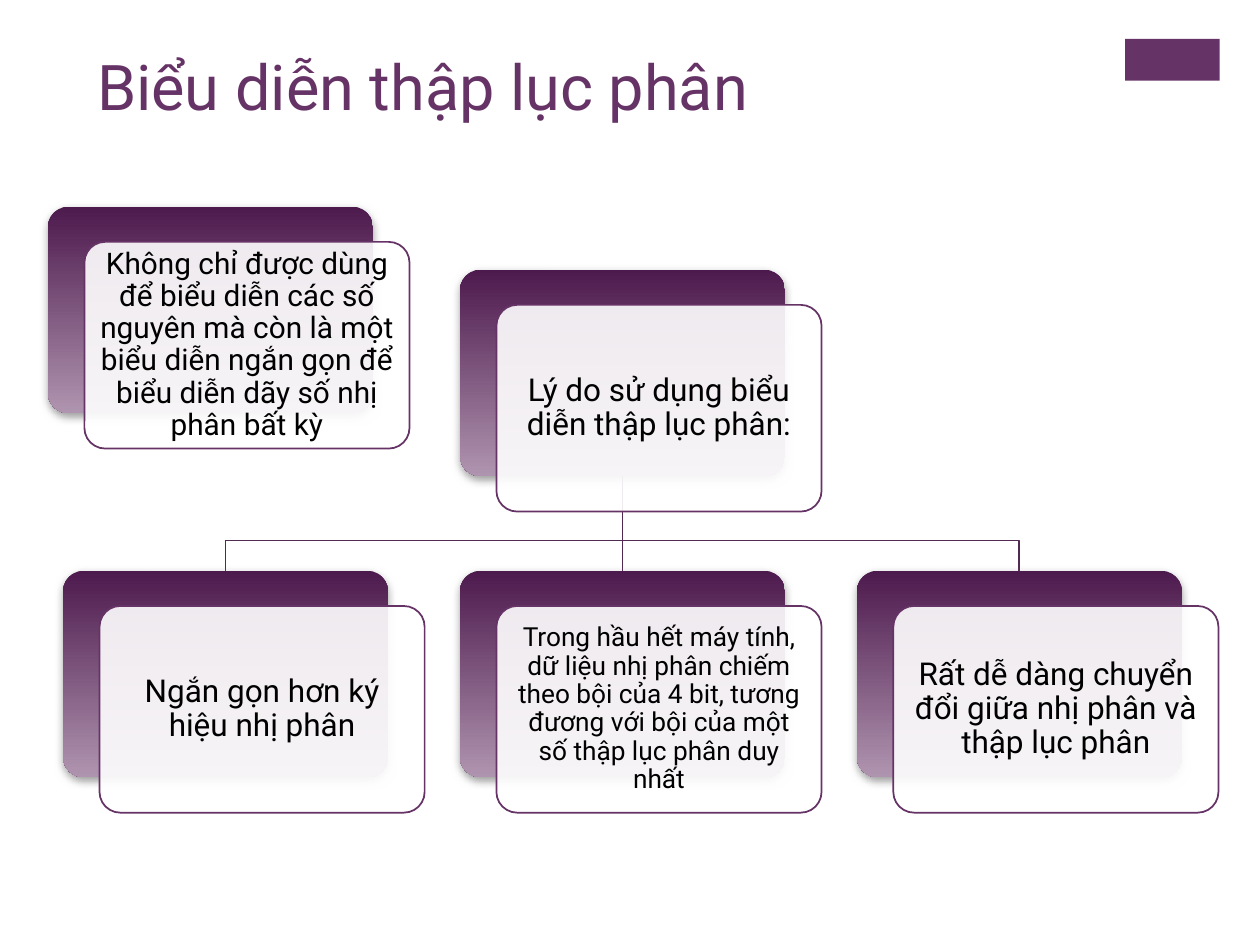
from lxml import etree
from pptx import Presentation
from pptx.dml.color import RGBColor
from pptx.enum.shapes import MSO_CONNECTOR, MSO_SHAPE
from pptx.enum.text import MSO_ANCHOR, MSO_AUTO_SIZE, PP_ALIGN
from pptx.oxml.ns import qn
from pptx.util import Inches, Pt

RECTANGLE, ROUNDED = MSO_SHAPE.RECTANGLE, MSO_SHAPE.ROUNDED_RECTANGLE
TOP, MIDDLE = MSO_ANCHOR.TOP, MSO_ANCHOR.MIDDLE
LEFT, CENTER = PP_ALIGN.LEFT, PP_ALIGN.CENTER
TOP_SIDE, BOTTOM_SIDE = 0, 2

# Content: text and size in points
TITLE = "Biểu diễn thập lục phân"
NOTE = ("Không chỉ được dùng để biểu diễn các số nguyên mà còn là một "
        "biểu diễn ngắn gọn để biểu diễn dãy số nhị phân bất kỳ", 17)
ROOT = ("Lý do sử dụng biểu diễn thập lục phân:", 18)
REASONS = [
    ("Ngắn gọn hơn ký hiệu nhị phân", 18),
    ("Trong hầu hết máy tính, dữ liệu nhị phân chiếm theo bội của 4 bit, "
     "tương đương với bội của một số thập lục phân duy nhất", 15),
    ("Rất dễ dàng chuyển đổi giữa nhị phân và thập lục phân", 18),
]

FONT = "Roboto"
COLORS = {"accent": "663366", "dark": "4D1A4D", "light": "AF94AF",
          "line": "522952", "shadow": "808080", "card": "FFFFFF", "text": "000000"}

# Layout in inches
CARD_W, CARD_H = 2.58, 1.64
SHIFT_X, SHIFT_Y = 0.29, 0.28
FIRST_X, STEP_X = 0.5, 3.15
NOTE_X, NOTE_Y = 0.38, 1.64
ROOT_Y, REASON_Y, BRANCH_Y = 2.14, 4.53, 4.29
COLUMNS = [FIRST_X + STEP_X * i for i in range(len(REASONS))]
ROOT_X = COLUMNS[1]


def color(name):
    return RGBColor.from_string(COLORS[name])


def write(shape, text, size, tint, anchor, align, inset=None, spacing=None):
    frame = shape.text_frame
    frame.text = text
    settings = {"word_wrap": True, "auto_size": MSO_AUTO_SIZE.NONE,
                "vertical_anchor": anchor}
    if inset is not None:
        for side in ("left", "top", "right", "bottom"):
            settings[f"margin_{side}"] = Inches(inset)
    para = frame.paragraphs[0]
    para.font.color.rgb = color(tint)
    for target, values in (
        (frame, settings),
        (para, {"alignment": align, "line_spacing": spacing}),
        (para.font, {"name": FONT, "size": Pt(size)}),
    ):
        for name, value in values.items():
            setattr(target, name, value)


def add_block(page, kind, left, top, width, height):
    block = page.shapes.add_shape(
        kind, Inches(left), Inches(top), Inches(width), Inches(height))
    block.shadow.inherit = False
    if kind == ROUNDED:
        block.adjustments[0] = 0.1
    return block


def add_soft_shadow(shape):
    effects = shape._element.spPr.find(qn("a:effectLst"))
    shadow = etree.SubElement(effects, qn("a:outerShdw"), blurRad=str(Pt(5)),
                              dist=str(Pt(2)), dir="5400000", rotWithShape="0")
    tint = etree.SubElement(shadow, qn("a:srgbClr"), val=COLORS["shadow"])
    etree.SubElement(tint, qn("a:alpha"), val="75000")


def add_node(page, left, top, text, size):
    """Gradient panel with a translucent text card in front; returns the panel."""
    panel = add_block(page, ROUNDED, left, top, CARD_W, CARD_H)
    panel.fill.gradient()
    panel.fill.gradient_angle = 270
    for stop, name in zip(panel.fill.gradient_stops, ("dark", "light")):
        stop.color.rgb = color(name)
    panel.line.fill.background()
    add_soft_shadow(panel)

    card = add_block(page, ROUNDED, left + SHIFT_X, top + SHIFT_Y, CARD_W, CARD_H)
    card.fill.solid()
    card.fill.fore_color.rgb = color("card")
    tint = card._element.spPr.find(qn("a:solidFill")).find(qn("a:srgbClr"))
    etree.SubElement(tint, qn("a:alpha"), val="90000")
    card.line.color.rgb = color("accent")
    card.line.width = Pt(1)
    write(card, text, size, "text", MIDDLE, CENTER, inset=0.07, spacing=0.9)
    return panel


def style_line(shape):
    shape.line.color.rgb = color("line")
    shape.line.width = Pt(1)


def add_branch(page, start_x, end_x):
    points = [(start_x, ROOT_Y + CARD_H), (start_x, BRANCH_Y),
              (end_x, BRANCH_Y), (end_x, REASON_Y)]
    corners = [(Inches(x), Inches(y)) for x, y in points]
    builder = page.shapes.build_freeform(*corners[0])
    builder.add_line_segments(corners[1:], close=False)
    branch = builder.convert_to_shape()
    branch.fill.background()
    branch.shadow.inherit = False
    style_line(branch)


def main():
    deck = Presentation()
    deck.slide_width, deck.slide_height = Inches(10), Inches(7.5)
    page = deck.slides.add_slide(deck.slide_layouts[5])

    # Title and corner block
    title = page.shapes.title
    title.left, title.top = Inches(0.67), Inches(0.33)
    title.width, title.height = Inches(8.26), Inches(1.22)
    write(title, TITLE, 36, "accent", TOP, LEFT)
    corner = add_block(page, RECTANGLE, 8.93, 0.31, 0.75, 0.33)
    corner.fill.solid()
    corner.fill.fore_color.rgb = color("accent")
    corner.line.fill.background()

    # Tree lines, behind the cards
    root_center = ROOT_X + CARD_W / 2
    for left in (COLUMNS[0], COLUMNS[-1]):
        add_branch(page, root_center, left + CARD_W / 2)
    stem = page.shapes.add_connector(
        MSO_CONNECTOR.STRAIGHT, Inches(root_center), Inches(ROOT_Y + CARD_H),
        Inches(root_center), Inches(REASON_Y))
    style_line(stem)
    etree.SubElement(stem._element.spPr, qn("a:effectLst"))

    # Cards
    add_node(page, NOTE_X, NOTE_Y, *NOTE)
    root = add_node(page, ROOT_X, ROOT_Y, *ROOT)
    panels = [add_node(page, left, REASON_Y, *reason)
              for left, reason in zip(COLUMNS, REASONS)]
    stem.begin_connect(root, BOTTOM_SIDE)
    stem.end_connect(panels[1], TOP_SIDE)

    deck.save("out.pptx")


if __name__ == "__main__":
    main()
